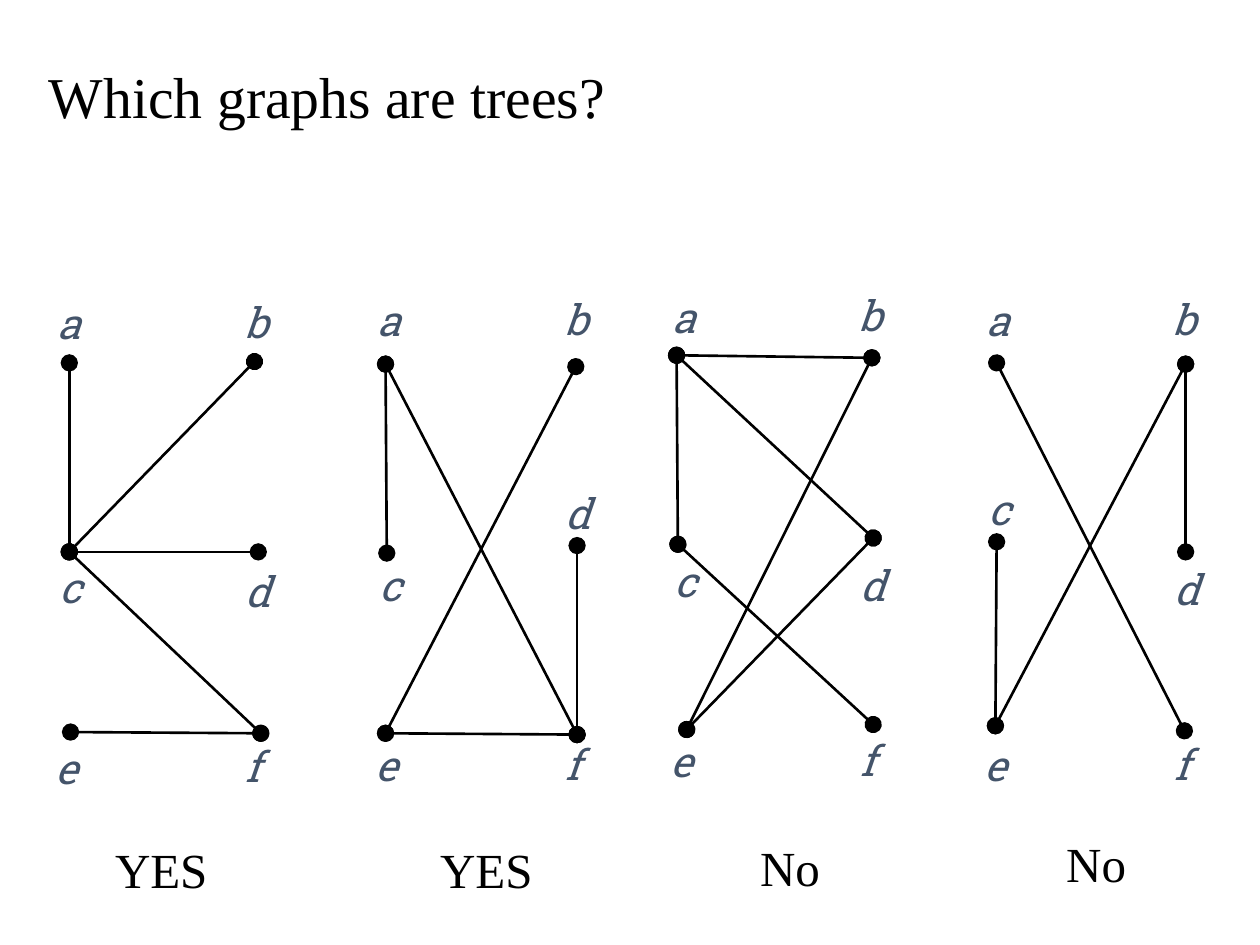
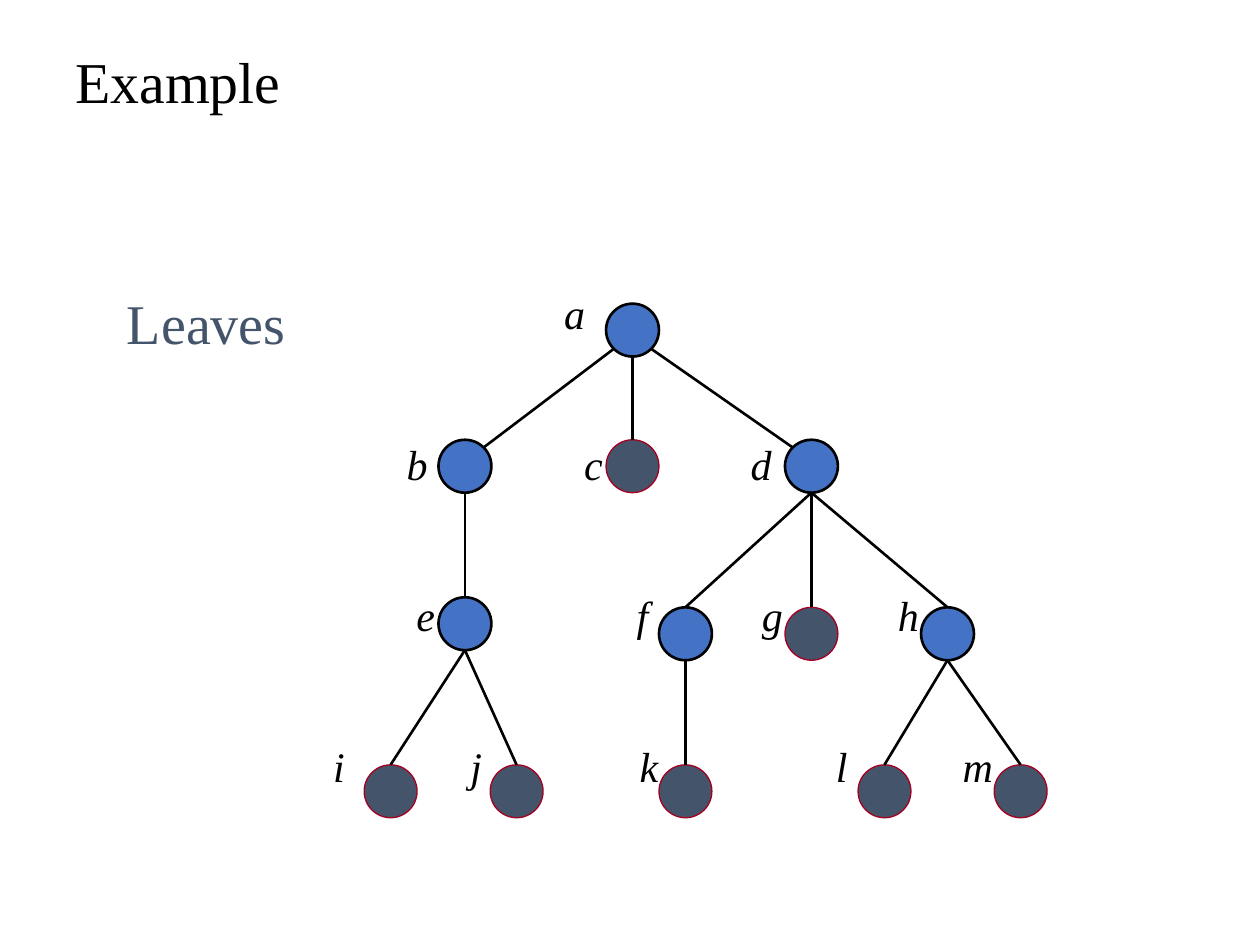
from lxml import etree
from pptx import Presentation
from pptx.dml.color import RGBColor
from pptx.enum.shapes import MSO_CONNECTOR, MSO_SHAPE
from pptx.enum.text import MSO_ANCHOR, PP_ALIGN
from pptx.oxml.ns import qn
from pptx.util import Inches, Pt

STRAIGHT, ELLIPSE = MSO_CONNECTOR.STRAIGHT, MSO_SHAPE.OVAL
TOP, MIDDLE, BOTTOM = MSO_ANCHOR.TOP, MSO_ANCHOR.MIDDLE, MSO_ANCHOR.BOTTOM
LEFT, CENTER = PP_ALIGN.LEFT, PP_ALIGN.CENTER

BLACK = RGBColor(0x00, 0x00, 0x00)
SLATE = RGBColor(0x44, 0x54, 0x6A)
BLUE = RGBColor(0x44, 0x72, 0xC4)
RED = RGBColor(0xA5, 0x00, 0x21)
SERIF, SLAB = "Times New Roman", "Roboto Slab"

# Vertex letters sit on one grid, measured from the letter "a" of each graph.
LETTER_GRID = {"a": (0, 0), "b": (1.48, -0.01), "c": (0.01, 2.1),
               "d": (1.5, 2.13), "e": (-0.02, 3.53), "f": (1.46, 3.52)}
RAISE = 0.6  # lift of a letter that stands above its vertex in the middle row

GRAPHS = [
    {"letters_at": (0.55, 2.56), "raised": "", "edges": "ca cb cd cf fe",
     "vertices": {"a": (0.55, 2.88), "b": (2.02, 2.87), "c": (0.55, 4.38),
                  "d": (2.05, 4.38), "e": (0.56, 5.81), "f": (2.07, 5.82)},
     "answer": "YES", "answer_at": (1.28, 6.9)},
    {"letters_at": (3.09, 2.54), "raised": "d", "edges": "eb ca fe fd af",
     "vertices": {"a": (3.06, 2.89), "b": (4.57, 2.91), "c": (3.07, 4.39),
                  "d": (4.58, 4.33), "e": (3.06, 5.82), "f": (4.58, 5.83)},
     "answer": "YES", "answer_at": (3.86, 6.9)},
    {"letters_at": (5.43, 2.51), "raised": "", "edges": "eb ca cf ad ed ab",
     "vertices": {"a": (5.37, 2.82), "b": (6.92, 2.84), "c": (5.38, 4.32),
                  "d": (6.93, 4.27), "e": (5.45, 5.79), "f": (6.93, 5.75)},
     "answer": "No", "answer_at": (6.27, 6.88)},
    {"letters_at": (7.92, 2.54), "raised": "c", "edges": "eb db af ce",
     "vertices": {"a": (7.91, 2.88), "b": (9.41, 2.89), "c": (7.91, 4.3),
                  "d": (9.41, 4.38), "e": (7.9, 5.76), "f": (9.4, 5.8)},
     "answer": "No", "answer_at": (8.7, 6.85)},
]

RADIUS = 0.21
CHILDREN = {"a": "bcd", "b": "e", "d": "fgh", "e": "ij", "f": "k", "h": "lm"}
NODES = {"a": (5.02, 2.62), "b": (3.69, 3.7), "c": (5.02, 3.7),
         "d": (6.44, 3.7), "e": (3.69, 4.95), "f": (5.44, 5.03),
         "g": (6.44, 5.03), "h": (7.52, 5.03), "i": (3.1, 6.28),
         "j": (4.1, 6.28), "k": (5.44, 6.28), "l": (7.02, 6.28),
         "m": (8.1, 6.28)}
NAME_ROWS = [
    {"a": 4.56},
    {"b": 3.31, "c": 4.71, "d": 6.04},
    {"e": 3.38, "f": 5.1, "g": 6.13, "h": 7.21},
    {"i": 2.69, "j": 3.78, "k": 5.15, "l": 6.68, "m": 7.76},
]
NAME_TOP, NAME_STEP = 2.48, 1.2


def add_text(s, text, x, y, w, h, *, size, font=SERIF, color=BLACK,
             italic=False, align=LEFT, anchor=MIDDLE, inset=0.1, spacing=1.0):
    tf = s.shapes.add_textbox(*map(Inches, (x, y, w, h))).text_frame
    tf.word_wrap = True
    tf.vertical_anchor = anchor
    tf.margin_left = tf.margin_right = Inches(inset)
    tf.margin_top = tf.margin_bottom = Inches(inset / 2)
    p = tf.paragraphs[0]
    p.alignment, p.line_spacing = align, spacing
    r = p.add_run()
    r.text = text
    r.font.name, r.font.size, r.font.italic = font, Pt(size), italic
    r.font.color.rgb = color


def add_label(s, text, center, w=0.4, h=0.4, **fmt):
    """Text centred on a point."""
    x, y = center
    add_text(s, text, x - w / 2, y - h / 2, w, h, align=CENTER, inset=0, **fmt)


def add_title(s, text, x, y, w, h, anchor):
    add_text(s, text, x, y, w, h, size=33, anchor=anchor, spacing=0.9)


def add_line(s, start, end, dots=False):
    """Straight edge; dots puts a round vertex on both ends."""
    c = s.shapes.add_connector(STRAIGHT, *map(Inches, (*start, *end)))
    c.line.color.rgb, c.line.width = BLACK, Pt(1.5)
    if dots:
        ln = c.line._get_or_add_ln()
        for tag in ("a:headEnd", "a:tailEnd"):
            etree.SubElement(ln, qn(tag), type="oval", w="lg", len="lg")
    etree.SubElement(c._element.spPr, qn("a:effectLst"))


def add_node(s, center, leaf):
    x, y = center
    sp = s.shapes.add_shape(ELLIPSE, Inches(x - RADIUS), Inches(y - RADIUS),
                            Inches(2 * RADIUS), Inches(2 * RADIUS))
    sp.shadow.inherit = False
    sp.fill.solid()
    sp.fill.fore_color.rgb = SLATE if leaf else BLUE
    sp.line.color.rgb = RED if leaf else BLACK
    sp.line.width = Pt(0.75 if leaf else 1.5)


def add_branch(s, parent, child, slanted):
    """Edge from bottom to top of two nodes, or between their diagonals."""
    (x1, y1), (x2, y2) = parent, child
    dx, dy = 0, RADIUS
    if slanted and x1 != x2:
        dy = RADIUS * 0.71
        dx = dy if x2 > x1 else -dy
    add_line(s, (x1 + dx, y1 + dy), (x2 - dx, y2 - dy))


def add_graph(s, graph):
    vertices = graph["vertices"]
    for start, end in graph["edges"].split():
        add_line(s, vertices[start], vertices[end], dots=True)
    x, y = graph["letters_at"]
    for letter, (dx, dy) in LETTER_GRID.items():
        lift = RAISE if letter in graph["raised"] else 0
        add_label(s, letter, (x + dx, y + dy - lift),
                  size=24, font=SLAB, color=SLATE, italic=True)
    add_label(s, graph["answer"], graph["answer_at"], 1.73, 0.57, size=28)


def add_tree(s):
    for name, center in NODES.items():
        add_node(s, center, leaf=name not in CHILDREN)
    for parent, children in CHILDREN.items():
        for child in children:
            add_branch(s, NODES[parent], NODES[child], slanted=parent == "a")
    for row, names in enumerate(NAME_ROWS):
        for name, x in names.items():
            add_label(s, name, (x, NAME_TOP + row * NAME_STEP),
                      size=24, italic=True)


def main():
    prs = Presentation()
    prs.slide_width, prs.slide_height = Inches(10), Inches(7.5)
    blank = prs.slide_layouts[6]

    s = prs.slides.add_slide(blank)
    add_title(s, "Which graphs are trees?", 0.29, 0.17, 9.42, 0.92, BOTTOM)
    for graph in GRAPHS:
        add_graph(s, graph)

    s = prs.slides.add_slide(blank)
    add_title(s, "Example", 0.5, 0.17, 9, 1, MIDDLE)
    add_tree(s)
    add_text(s, "Leaves", 0.91, 2.24, 1.6, 0.63, size=32, color=SLATE,
             anchor=TOP)

    prs.save("out.pptx")


if __name__ == "__main__":
    main()
